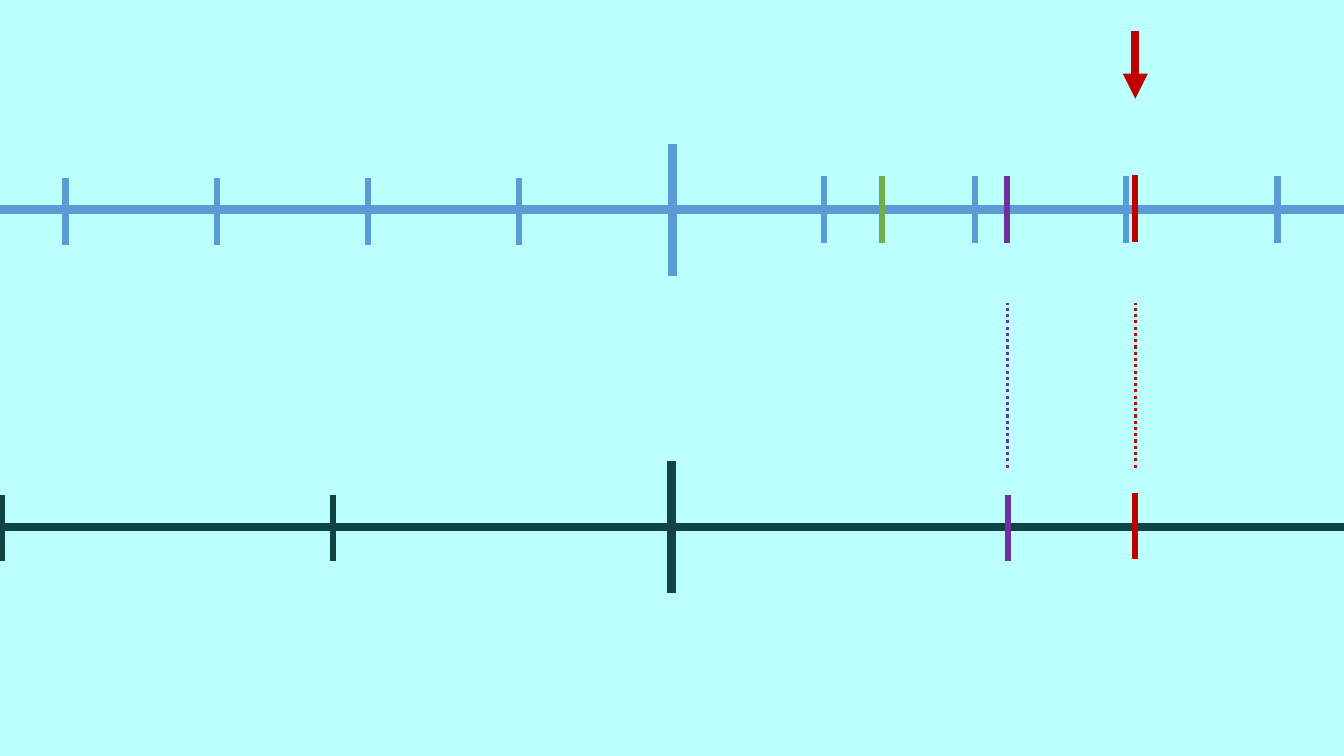
import pptx
import pptx.dml.color
import pptx.enum.dml
import pptx.enum.shapes
import pptx.oxml.ns
import pptx.util
from lxml import etree
from pptx.util import Inches

SLIDE_WIDTH = 13.33
BLUE, TEAL, GREEN, PURPLE, RED = "5B9BD5", "114444", "70AD47", "7030A0", "C00000"
TICK_HEIGHT = 0.66
CENTRE_HEIGHT = 1.31


def rgb(value):
    """Turn a hex string into a colour."""
    return pptx.dml.color.RGBColor.from_string(value)


def add_line(slide, start, end, color, width):
    """Draw a straight line without shadow between two points in inches."""
    line = slide.shapes.add_connector(
        pptx.enum.shapes.MSO_CONNECTOR.STRAIGHT,
        *(Inches(value) for value in (*start, *end)))
    line.line.color.rgb = rgb(color)
    line.line.width = pptx.util.Pt(width)
    etree.SubElement(line.element.spPr, pptx.oxml.ns.qn("a:effectLst"))
    return line


def add_axis(slide, y, centre, color):
    """Draw a number line across the slide with its tall centre mark."""
    add_line(slide, (0, y), (SLIDE_WIDTH, y), color, 6)
    top = y - CENTRE_HEIGHT / 2
    add_line(slide, (centre, top), (centre, top + CENTRE_HEIGHT), color, 6)


def add_tick(slide, x, top, color):
    """Draw one short mark on a number line."""
    add_line(slide, (x, top), (x, top + TICK_HEIGHT), color, 4.5)


def add_dotted_link(slide, x, color):
    """Draw a dotted line that links the two number lines."""
    link = add_line(slide, (x, 4.64), (x, 3.01), color, 2.25)
    link.line.dash_style = pptx.enum.dml.MSO_LINE.ROUND_DOT


def add_arrow(slide, start, end, color):
    """Draw a thick arrow that points at its end."""
    arrow = add_line(slide, start, end, color, 6)
    outline = arrow.line._get_or_add_ln()
    etree.SubElement(outline, pptx.oxml.ns.qn("a:tailEnd"), type="triangle")


def main():
    """Build the slide with two number lines."""
    deck = pptx.Presentation()
    deck.slide_width, deck.slide_height = Inches(SLIDE_WIDTH), Inches(7.5)
    slide = deck.slides.add_slide(deck.slide_layouts[6])
    slide.background.fill.solid()
    slide.background.fill.fore_color.rgb = rgb("BBFFFF")

    add_axis(slide, 2.08, 6.67, BLUE)
    for step in range(4):
        add_tick(slide, 8.17 + 1.5 * step, 1.75, BLUE)
        add_tick(slide, 0.65 + 1.5 * step, 1.77, BLUE)

    add_axis(slide, 5.23, 6.66, TEAL)
    for x, top, color in [
        (10, 4.91, PURPLE),
        (0.02, 4.91, TEAL),
        (3.3, 4.91, TEAL),
        (8.75, 1.75, GREEN),
        (11.26, 4.89, RED),
        (9.99, 1.75, PURPLE),
        (11.26, 1.74, RED),
    ]:
        add_tick(slide, x, top, color)

    add_dotted_link(slide, 9.99, PURPLE)
    add_dotted_link(slide, 11.26, RED)
    add_arrow(slide, (11.26, 0.31), (11.26, 0.98), RED)
    deck.save("out.pptx")


if __name__ == "__main__":
    main()
